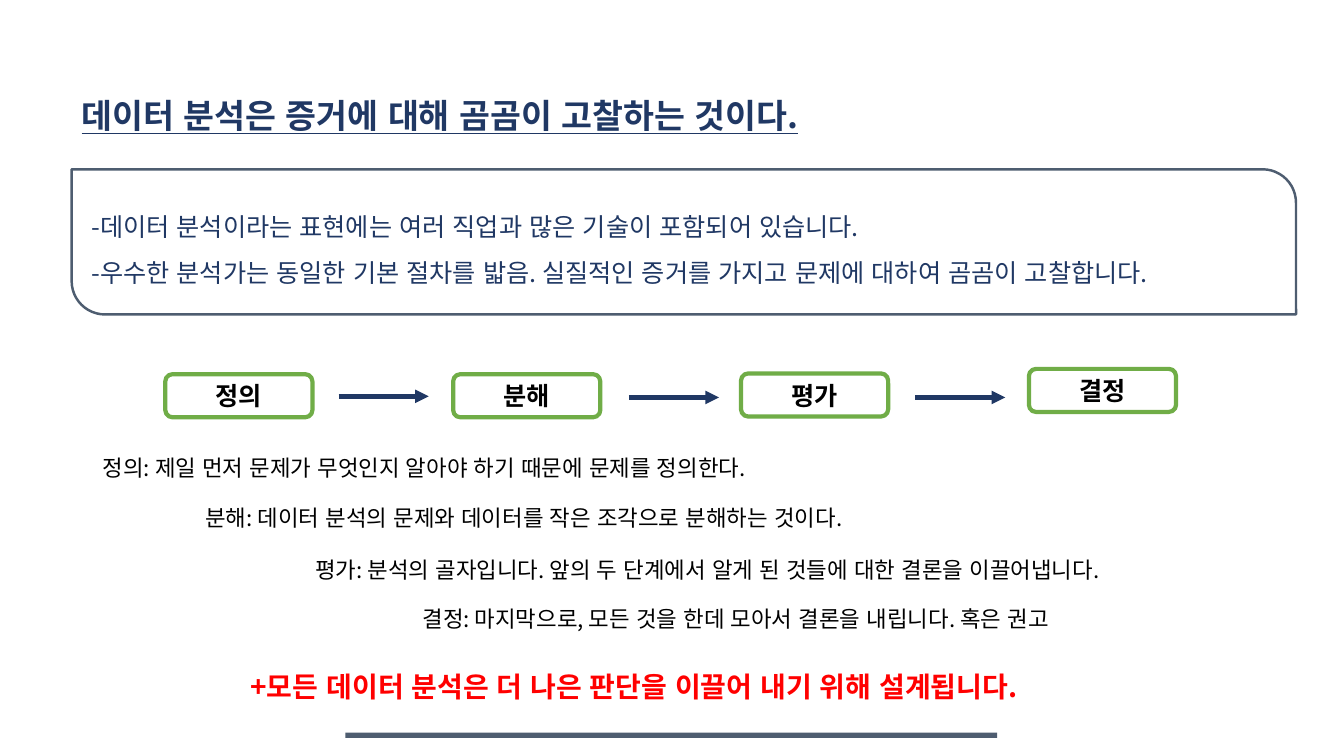
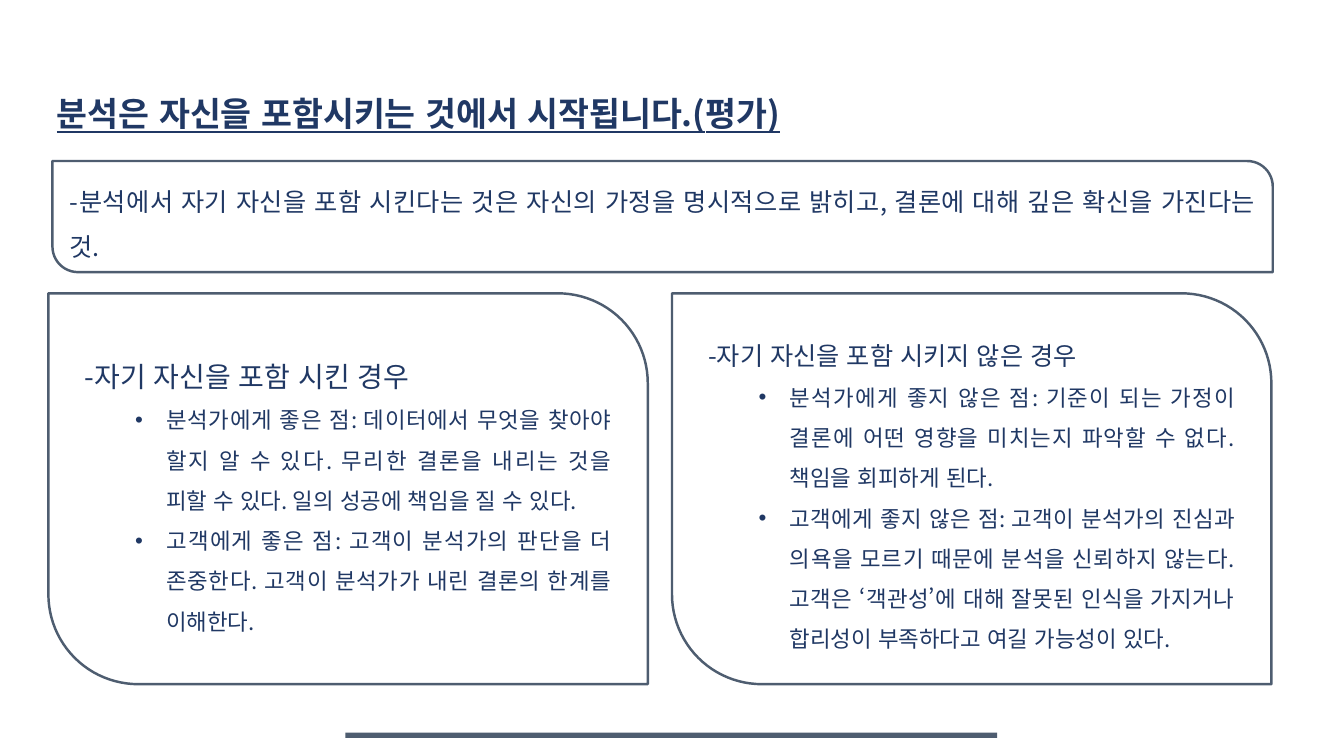
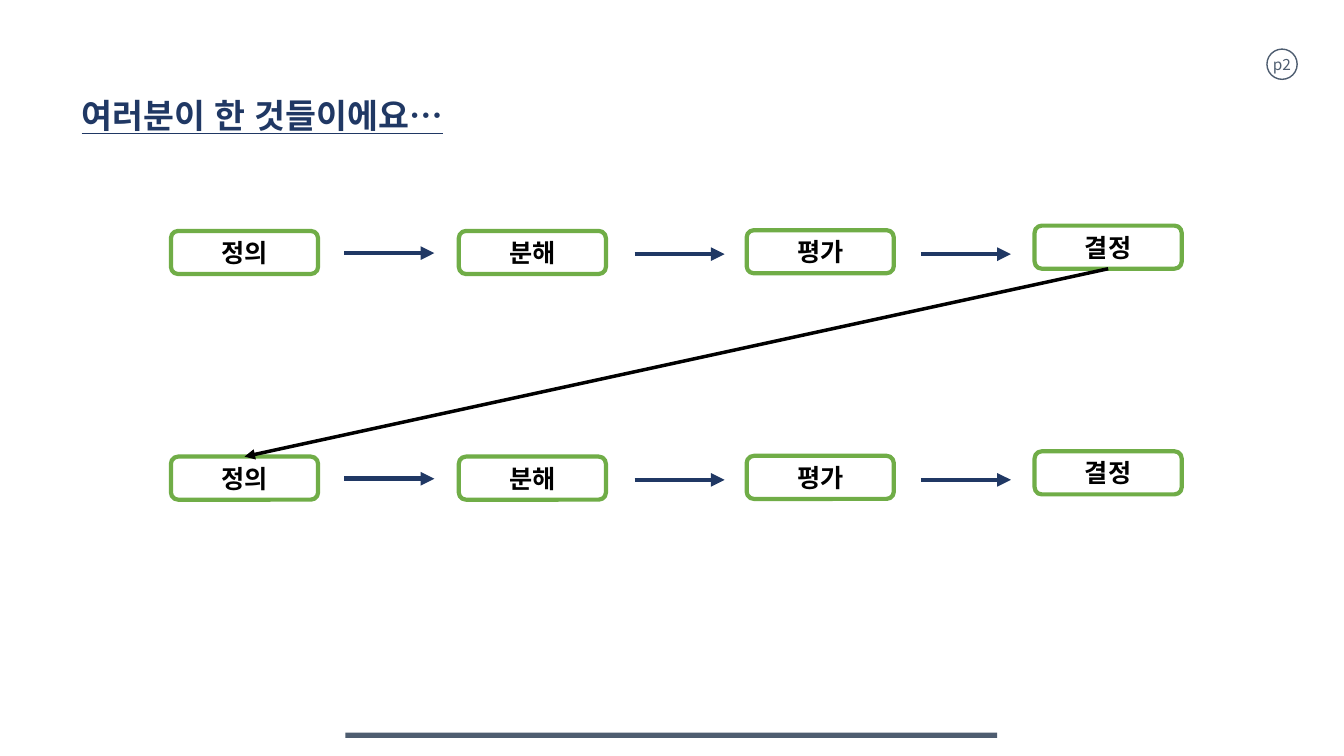
from lxml.etree import SubElement
from pptx import Presentation
from pptx.dml.color import RGBColor
from pptx.enum.lang import MSO_LANGUAGE_ID
from pptx.enum.shapes import MSO_CONNECTOR, MSO_SHAPE
from pptx.enum.text import MSO_ANCHOR, MSO_AUTO_SIZE, PP_ALIGN
from pptx.oxml.ns import qn
from pptx.util import Inches, Pt

WIDTH, HEIGHT = Inches(40) // 3, Inches(7.5)
FONT = "Noto Sans CJK KR"
NAVY, SLATE, GREEN = "203864", "4E5D70", "70AD47"
BLACK, WHITE, RED = "000000", "FFFFFF", "FF0000"

BASE = {"name": FONT, "language_id": MSO_LANGUAGE_ID.KOREAN}
TITLE = {"size": Pt(24), "bold": True, "underline": True}
STEP = {"size": Pt(18), "bold": True}
CONCLUSION = {"size": Pt(20), "bold": True}

# All lengths below are percentages of the slide's width or height.
STEP_NAMES = ["정의", "분해", "평가", "결정"]
STEP_RISES = [0, 0, 0.1, 0.7]
STEP_PITCH, STEP_WIDTH, STEP_HEIGHT = 21.42, 10.95, 5.7
ARROW_OFFSETS = [(12.9, 2.93), (34.5, 3.07), (55.8, 3.07)]
ARROW_LENGTH = 6.7


def across(share):
    return round(WIDTH * share / 100)


def down(share):
    return round(HEIGHT * share / 100)


def place(left, top, width, height):
    return across(left), down(top), across(width), down(height)


def paint(target, colour):
    """Give a fill a solid colour."""
    target.solid()
    target.fore_color.rgb = RGBColor.from_string(colour)


def write(para, text, colour, values, align=None, spacing=None):
    para.alignment, para.line_spacing = align, spacing
    span = para.add_run()
    span.text = text
    for name, value in {**BASE, **values}.items():
        setattr(span.font, name, value)
    paint(span.font.fill, colour)
    SubElement(span.font._element, qn("a:ea"), typeface=FONT)


def add_bullet(para):
    para.level = 1
    props = para._p.get_or_add_pPr()
    props.set("marL", str(Inches(0.81)))
    props.set("indent", str(Inches(-0.31)))
    SubElement(props, qn("a:buFont"), typeface="Arial")
    SubElement(props, qn("a:buChar"), char="•")


def add_box(page, kind, area, fill, line=None, line_width=1):
    box = page.shapes.add_shape(kind, *place(*area))
    box.shadow.inherit = False
    paint(box.fill, fill)
    if line:
        paint(box.line.fill, line)
        box.line.width = Pt(line_width)
    else:
        box.line.fill.background()
    box.text_frame.vertical_anchor = MSO_ANCHOR.MIDDLE
    return box


def add_text(page, area, text, colour, values, align, spacing):
    frame = page.shapes.add_textbox(*place(*area)).text_frame
    frame.word_wrap = True
    frame.auto_size = MSO_AUTO_SIZE.SHAPE_TO_FIT_TEXT
    write(frame.paragraphs[0], text, colour, values, align, spacing)


def add_arrow(page, start, end, colour, width):
    arrow = page.shapes.add_connector(
        MSO_CONNECTOR.STRAIGHT,
        across(start[0]), down(start[1]), across(end[0]), down(end[1]))
    paint(arrow.line.fill, colour)
    arrow.line.width = Pt(width)
    SubElement(arrow.line._get_or_add_ln(), qn("a:tailEnd"), type="triangle")
    SubElement(arrow._element.spPr, qn("a:effectLst"))
    return arrow


def add_panel(page, area, heads, size=18, bullets=()):
    """Outlined panel, rounded at top right and bottom left."""
    panel = add_box(page, MSO_SHAPE.ROUND_2_DIAG_RECTANGLE, area,
                    WHITE, SLATE, 1.75)
    panel.adjustments[0], panel.adjustments[1] = 0, 0.23
    frame = panel.text_frame
    frame.word_wrap = True
    lines = [(text, size) for text in heads] + [(text, 16) for text in bullets]
    for index, (text, points) in enumerate(lines):
        para = frame.add_paragraph() if index else frame.paragraphs[0]
        write(para, text, NAVY, {"size": Pt(points)}, PP_ALIGN.JUSTIFY, 1.5)
        if index >= len(heads):
            add_bullet(para)


def add_steps(page, left, top):
    """Row of process steps joined by arrows; returns the step boxes."""
    steps = []
    for index, (name, rise) in enumerate(zip(STEP_NAMES, STEP_RISES)):
        area = (left + index * STEP_PITCH, top - rise, STEP_WIDTH, STEP_HEIGHT)
        step = add_box(page, MSO_SHAPE.ROUNDED_RECTANGLE, area, WHITE, GREEN, 3)
        write(step.text_frame.paragraphs[0], name, BLACK, STEP, PP_ALIGN.CENTER)
        steps.append(step)
    for offset, drop in ARROW_OFFSETS:
        start = left + offset
        add_arrow(page, (start, top + drop),
                  (start + ARROW_LENGTH, top + drop), NAVY, 3.25)
    return steps


def add_page(deck, title, left, top, width):
    """Blank page with the shared footer bar and title."""
    page = deck.slides.add_slide(deck.slide_layouts[6])
    add_box(page, MSO_SHAPE.RECTANGLE, (25.7, 96.9, 48.5, 0.7), SLATE)
    add_text(page, (left, top, width, 8.4), title, NAVY, TITLE, None, 1.5)
    return page


def build_process(deck):
    page = add_page(deck, "데이터 분석은 증거에 대해 곰곰이 고찰하는 것이다.",
                    5.33, 9.25, 62.8)
    add_panel(page, (5.33, 22.4, 91.1, 19.2), [
        "-데이터 분석이라는 표현에는 여러 직업과 많은 기술이 포함되어 있습니다.",
        "-우수한 분석가는 동일한 기본 절차를 밟음. 실질적인 증거를 가지고 "
        "문제에 대하여 곰곰이 고찰합니다."])
    add_steps(page, 12.3, 49.5)
    notes = [
        (6.9, 57.3, 53,
         "정의: 제일 먼저 문제가 무엇인지 알아야 하기 때문에 문제를 정의한다."),
        (14.55, 63.9, 56.9,
         "분해: 데이터 분석의 문제와 데이터를 작은 조각으로 분해하는 것이다."),
        (22.73, 70.8, 64.8,
         "평가: 분석의 골자입니다. 앞의 두 단계에서 알게 된 것들에 대한 "
         "결론을 이끌어냅니다."),
        (30.7, 77.2, 54.7,
         "결정: 마지막으로, 모든 것을 한데 모아서 결론을 내립니다. 혹은 권고"),
    ]
    for left, top, width, text in notes:
        add_text(page, (left, top, width, 6.3), text, BLACK,
                 {"size": Pt(16)}, PP_ALIGN.JUSTIFY, 1.6)
    add_text(page, (17.9, 85.2, 67.8, 7.6),
             "+모든 데이터 분석은 더 나은 판단을 이끌어 내기 위해 설계됩니다.",
             RED, CONCLUSION, PP_ALIGN.JUSTIFY, 1.6)


def build_comparison(deck):
    page = add_page(deck, "분석은 자신을 포함시키는 것에서 시작됩니다.(평가)",
                    3.5, 9, 65.5)
    add_panel(page, (3.9, 21.3, 90.8, 14.7), [
        "-분석에서 자기 자신을 포함 시킨다는 것은 자신의 가정을 명시적으로 "
        "밝히고, 결론에 대해 깊은 확신을 가진다는 것."])
    cases = [
        ("-자기 자신을 포함 시킨 경우", 20, [
            "분석가에게 좋은 점: 데이터에서 무엇을 찾아야 할지 알 수 있다. "
            "무리한 결론을 내리는 것을 피할 수 있다. "
            "일의 성공에 책임을 질 수 있다.",
            "고객에게 좋은 점: 고객이 분석가의 판단을 더 존중한다. "
            "고객이 분석가가 내린 결론의 한계를 이해한다."]),
        ("-자기 자신을 포함 시키지 않은 경우", 18, [
            "분석가에게 좋지 않은 점: 기준이 되는 가정이 결론에 어떤 영향을 "
            "미치는지 파악할 수 없다. 책임을 회피하게 된다.",
            "고객에게 좋지 않은 점: 고객이 분석가의 진심과 의욕을 모르기 때문에 "
            "분석을 신뢰하지 않는다. 고객은 ‘객관성’에 대해 잘못된 인식을 "
            "가지거나 합리성이 부족하다고 여길 가능성이 있다."]),
    ]
    for index, (head, size, bullets) in enumerate(cases):
        add_panel(page, (3.6 + index * 46.4, 38.8, 44.6, 51.7),
                  [head], size, bullets)


def build_cycle(deck):
    page = add_page(deck, "여러분이 한 것들이에요…", 5.33, 9.25, 68.9)
    badge = add_box(page, MSO_SHAPE.OVAL, (94.27, 6.5, 2.25, 4), WHITE, SLATE)
    badge.text_frame.word_wrap = False
    write(badge.text_frame.paragraphs[0], "p2", SLATE, {"size": Pt(11)},
          PP_ALIGN.CENTER)
    first, second = [add_steps(page, 12.72, top) for top in (30.55, 60.4)]
    back = add_arrow(page, (82.4, 35.6), (18.2, 60.4), BLACK, 2.5)
    back.begin_connect(first[-1], 2)
    back.end_connect(second[0], 0)


def main():
    deck = Presentation()
    deck.slide_width, deck.slide_height = WIDTH, HEIGHT
    build_process(deck)
    build_comparison(deck)
    build_cycle(deck)
    deck.save("out.pptx")


if __name__ == "__main__":
    main()
